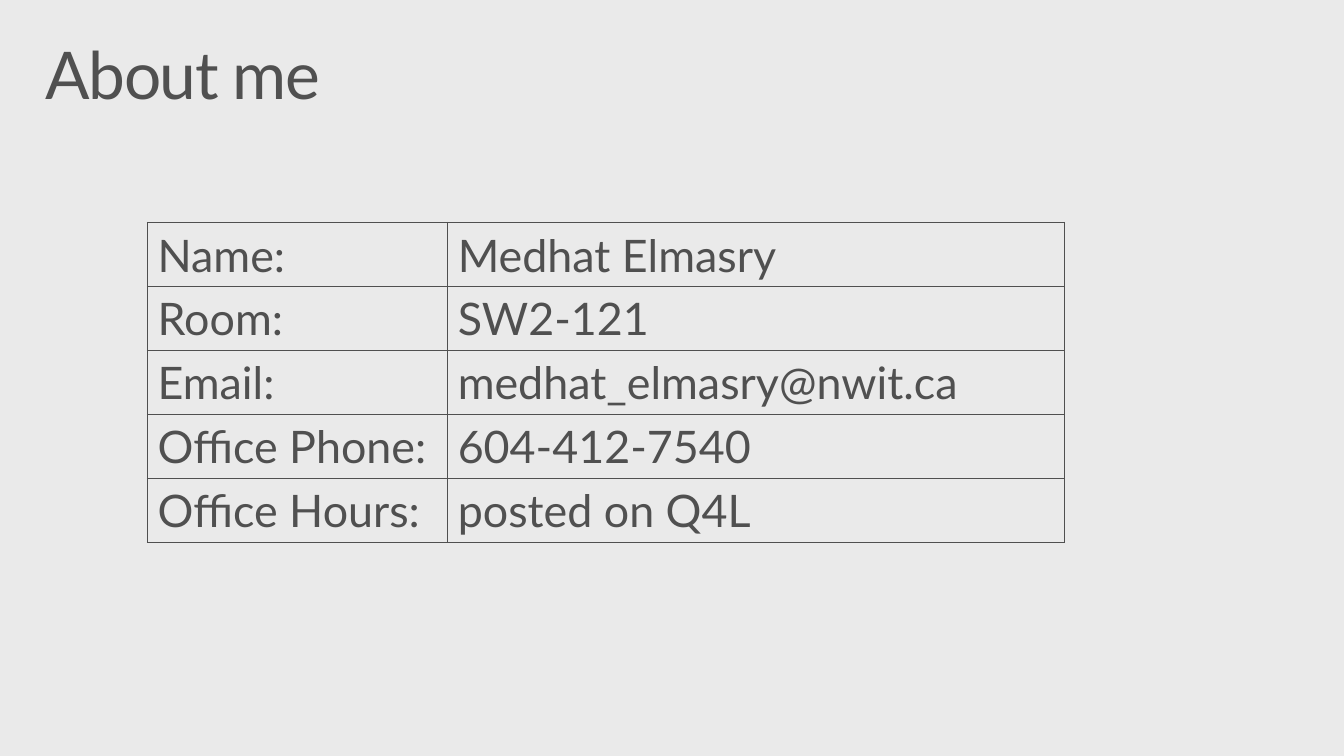
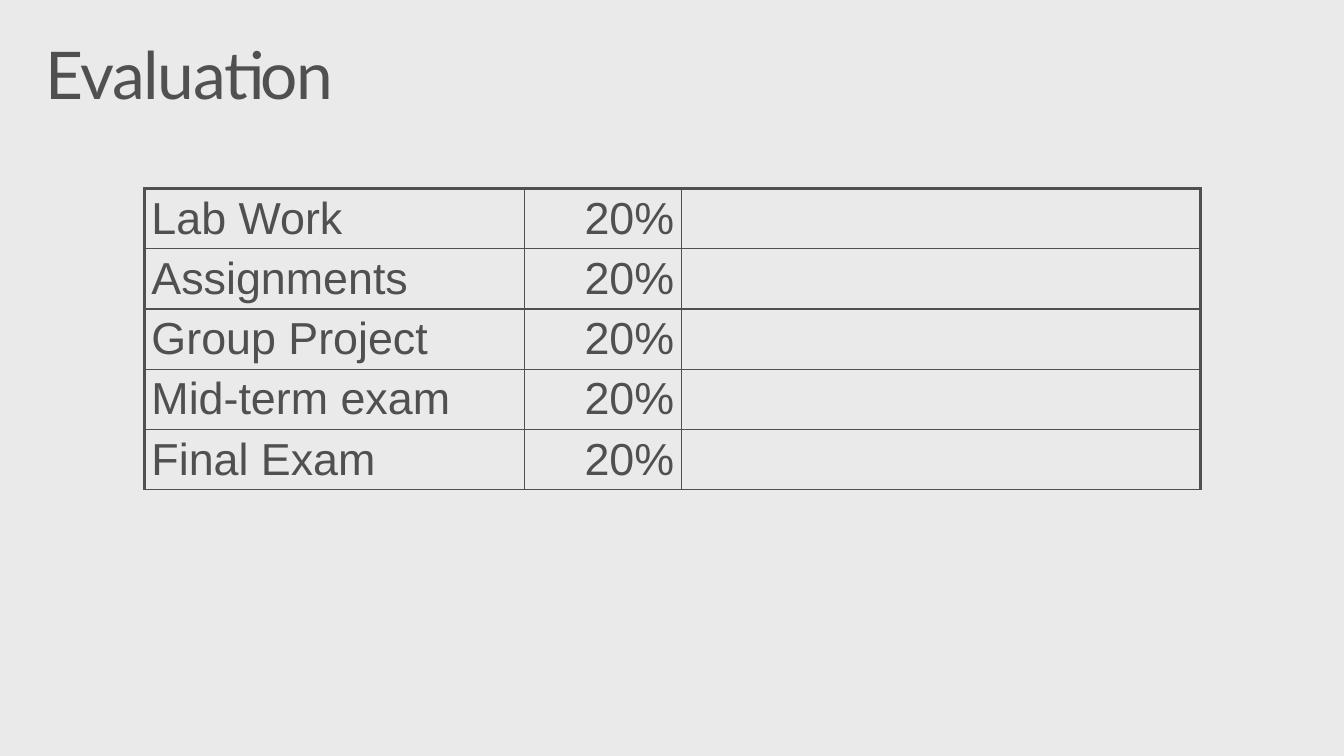
from pptx import Presentation
from pptx.dml.color import RGBColor
from pptx.enum.text import PP_ALIGN
from pptx.oxml.ns import qn
from pptx.util import Pt
from lxml.etree import SubElement

INK = "505050"
PAPER = "EAEAEA"
THIN, THICK = 1, 2.25


def color(code):
    return RGBColor.from_string(code)


def style(para, face, size):
    para.font.name = face
    para.font.size = Pt(size)
    para.font.color.rgb = color(INK)


def add_page(deck, title):
    page = deck.slides.add_slide(deck.slide_layouts[6])
    page.background.fill.solid()
    page.background.fill.fore_color.rgb = color(PAPER)
    frame = page.shapes.add_textbox(Pt(21), Pt(23), Pt(918), Pt(70.5)).text_frame
    frame.word_wrap = True
    frame.margin_left = frame.margin_right = Pt(11.5)
    frame.margin_top = frame.margin_bottom = Pt(7.2)
    para = frame.paragraphs[0]
    para.line_spacing = 0.9
    style(para, "Lato", 47)
    run = para.add_run()
    run.text = title
    run.font._element.set("spc", "-100")
    return page


def set_edge(cell, side, width):
    line = SubElement(cell._tc.get_or_add_tcPr(), qn("a:ln" + side), w=str(Pt(width)))
    fill = SubElement(line, qn("a:solidFill"))
    SubElement(fill, qn("a:srgbClr"), val=INK)


def add_grid(page, left, top, widths, height, rows, face, outer=THIN, pads=None, right=()):
    shape = page.shapes.add_table(
        len(rows), len(widths), Pt(left), Pt(top), Pt(sum(widths)), Pt(height * len(rows)))
    grid = shape.table
    grid.first_row = grid.horz_banding = False
    for col, width in zip(grid.columns, widths):
        col.width = Pt(width)
    for i, row in enumerate(rows):
        grid.rows[i].height = Pt(height)
        for j, text in enumerate(row):
            cell = grid.cell(i, j)
            set_edge(cell, "L", THIN if j else outer)
            set_edge(cell, "R", outer if j == len(widths) - 1 else THIN)
            set_edge(cell, "T", THIN if i else outer)
            set_edge(cell, "B", THIN)
            cell.fill.background()
            if pads:
                side, above, below = pads
                cell.margin_left = cell.margin_right = Pt(side)
                cell.margin_top, cell.margin_bottom = Pt(above), Pt(below)
            para = cell.text_frame.paragraphs[0]
            para.text = text
            style(para, face, 32)
            if j in right:
                para.alignment = PP_ALIGN.RIGHT


def main():
    deck = Presentation()
    deck.slide_width, deck.slide_height = Pt(960), Pt(540)

    about = [
        ("Name:", "Medhat Elmasry"),
        ("Room:", "SW2-121"),
        ("Email:", "medhat_elmasry@nwit.ca"),
        ("Office Phone:", "604-412-7540"),
        ("Office Hours:", "posted on Q4L"),
    ]
    page = add_page(deck, "About me")
    add_grid(page, 105.4, 159, (214.4, 440.6), 45.7, about, "Lato")

    parts = ("Lab Work", "Assignments", "Group Project", "Mid-term exam", "Final Exam")
    marks = [(part, "20%", "") for part in parts]
    page = add_page(deck, "Evaluation")
    add_grid(page, 103.2, 134.6, (271.2, 112.2, 370.8), 41.4, marks, "Arial",
             outer=THICK, pads=(5, 3.6, 1), right=(1,))

    deck.save("out.pptx")


if __name__ == "__main__":
    main()
